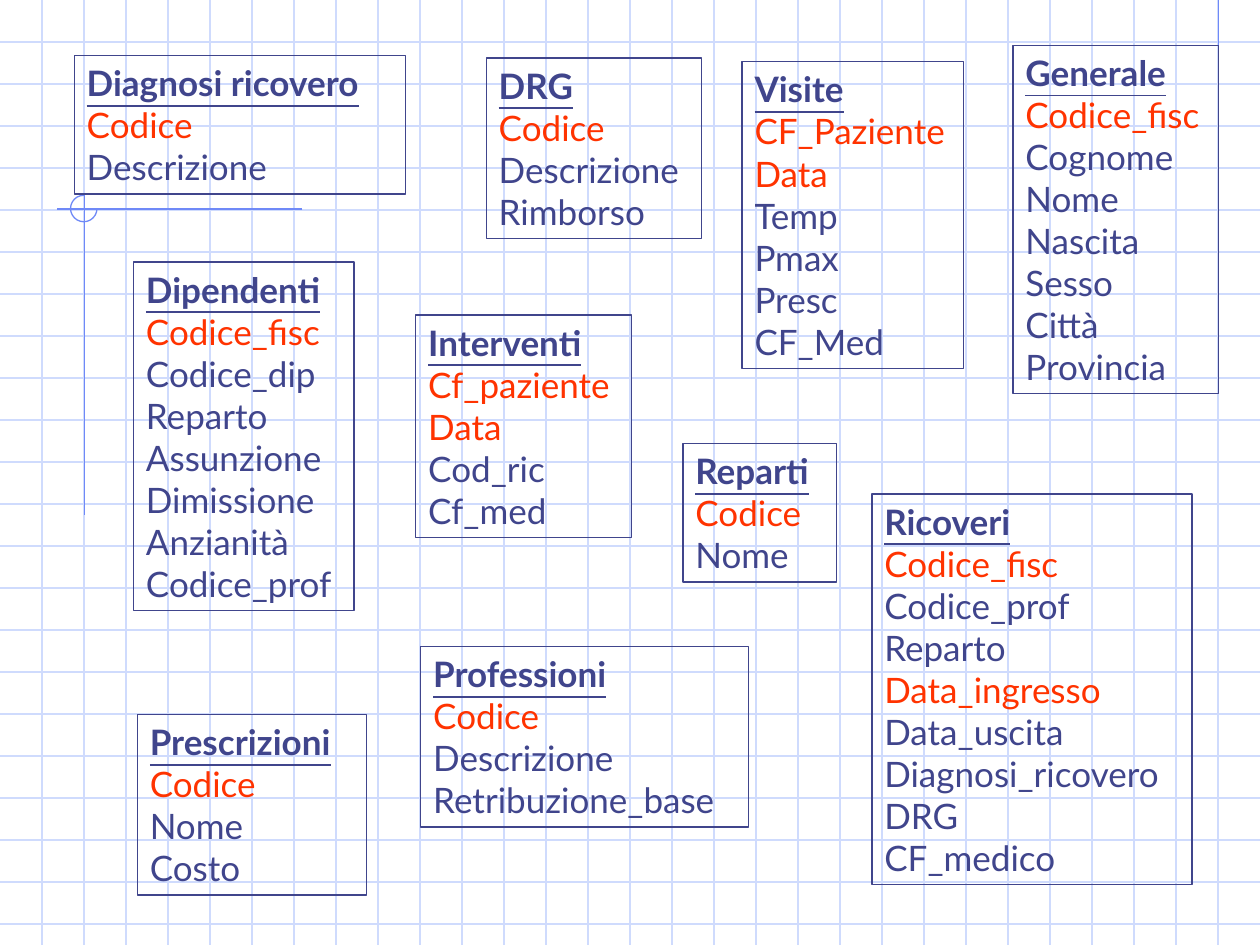
from dataclasses import dataclass

from lxml import etree
from pptx import Presentation
from pptx import util as u
from pptx.dml.color import RGBColor
from pptx.enum import shapes, text
from pptx.oxml import ns

WIDTH, HEIGHT = 10, 7.5
GRID_DIVISIONS_PER_INCH = 3
ROW_HEIGHT, INSET = 1 / 3, 0.05
GRID, ACCENT, INK, KEY = "CFDBFD", "6F89F7", "40458C", "FF3300"


@dataclass(frozen=True)
class Entity:
    name: str
    left: float
    top: float
    width: float
    fields: tuple[str, ...]
    keys: tuple[str, ...] = ("Codice",)


ENTITIES = (
    Entity("Diagnosi ricovero", 0.59, 0.44, 2.63, ("Codice", "Descrizione")),
    Entity("Dipendenti", 1.06, 2.08, 1.75,
           ("Codice_fisc", "Codice_dip", "Reparto", "Assunzione",
            "Dimissione", "Anzianità", "Codice_prof"), ("Codice_fisc",)),
    Entity("DRG", 3.86, 0.46, 1.71, ("Codice", "Descrizione", "Rimborso")),
    Entity("Generale", 8.04, 0.36, 1.63,
           ("Codice_fisc", "Cognome", "Nome", "Nascita", "Sesso", "Città",
            "Provincia"), ("Codice_fisc",)),
    Entity("Interventi", 3.3, 2.5, 1.71,
           ("Cf_paziente", "Data", "Cod_ric", "Cf_med"),
           ("Cf_paziente", "Data")),
    Entity("Prescrizioni", 1.09, 5.67, 1.82, ("Codice", "Nome", "Costo")),
    Entity("Professioni", 3.34, 5.13, 2.6,
           ("Codice", "Descrizione", "Retribuzione_base")),
    Entity("Reparti", 5.42, 3.52, 1.22, ("Codice", "Nome")),
    Entity("Ricoveri", 6.92, 3.92, 2.54,
           ("Codice_fisc", "Codice_prof", "Reparto", "Data_ingresso",
            "Data_uscita", "Diagnosi_ricovero", "DRG", "CF_medico"),
           ("Codice_fisc", "Data_ingresso")),
    Entity("Visite", 5.89, 0.49, 1.76,
           ("CF_Paziente", "Data", "Temp", "Pmax", "Presc", "CF_Med"),
           ("CF_Paziente", "Data")),
)


def rgb(value: str) -> RGBColor:
    return RGBColor.from_string(value)


def style_line(shape, color: str) -> None:
    shape.line.color.rgb = rgb(color)
    shape.line.width = u.Pt(0.75)


def draw_line(slide, start: tuple[float, float], end: tuple[float, float],
              color: str) -> None:
    points = [u.Inches(value) for value in (*start, *end)]
    connector = slide.shapes.add_connector(shapes.MSO_CONNECTOR.STRAIGHT, *points)
    style_line(connector, color)
    etree.SubElement(connector._element.spPr, ns.qn("a:effectLst"))


def draw_background(slide) -> None:
    for index in range(1, int(HEIGHT * GRID_DIVISIONS_PER_INCH) + 1):
        y = index / GRID_DIVISIONS_PER_INCH
        draw_line(slide, (0, y), (WIDTH, y), GRID)
    for index in range(1, WIDTH * GRID_DIVISIONS_PER_INCH):
        x = index / GRID_DIVISIONS_PER_INCH
        draw_line(slide, (x, 0), (x, HEIGHT), GRID)
    draw_line(slide, (9.67, 0), (9.67, 2.58), ACCENT)
    draw_line(slide, (2.4, 1.66), (0.45, 1.66), ACCENT)
    draw_line(slide, (0.67, 1.55), (0.67, 4.09), ACCENT)
    arc = slide.shapes.add_shape(
        shapes.MSO_SHAPE.ARC, u.Inches(0.56), u.Inches(1.55),
        u.Inches(0.21), u.Inches(0.21))
    arc.adjustments[0], arc.adjustments[1] = 0, 162
    arc.shadow.inherit = False
    arc.fill.background()
    style_line(arc, ACCENT)


def add_text(paragraph, content: str, *, color: str = INK,
             heading: bool = False) -> None:
    run = paragraph.add_run()
    run.text = content
    run.font.name = "Lato"
    run.font.size = u.Pt(20)
    run.font.color.rgb = rgb(color)
    run.font.bold = run.font.underline = heading


def draw_entity(slide, entity: Entity) -> None:
    height = (len(entity.fields) + 1) * ROW_HEIGHT + 2 * INSET
    box = slide.shapes.add_textbox(
        u.Inches(entity.left), u.Inches(entity.top),
        u.Inches(entity.width), u.Inches(height))
    style_line(box, INK)
    frame = box.text_frame
    frame.word_wrap = True
    frame.vertical_anchor = text.MSO_ANCHOR.TOP
    frame.margin_left = frame.margin_right = u.Inches(0.1)
    frame.margin_top = frame.margin_bottom = u.Inches(INSET)
    add_text(frame.paragraphs[0], entity.name, heading=True)
    for field in entity.fields:
        add_text(frame.add_paragraph(), field,
                 color=KEY if field in entity.keys else INK)


def main() -> None:
    """Build the hospital database schema slide."""
    presentation = Presentation()
    presentation.slide_width = u.Inches(WIDTH)
    presentation.slide_height = u.Inches(HEIGHT)
    slide = presentation.slides.add_slide(presentation.slide_layouts[6])
    draw_background(slide)
    for entity in ENTITIES:
        draw_entity(slide, entity)
    presentation.save("out.pptx")


if __name__ == "__main__":
    main()
